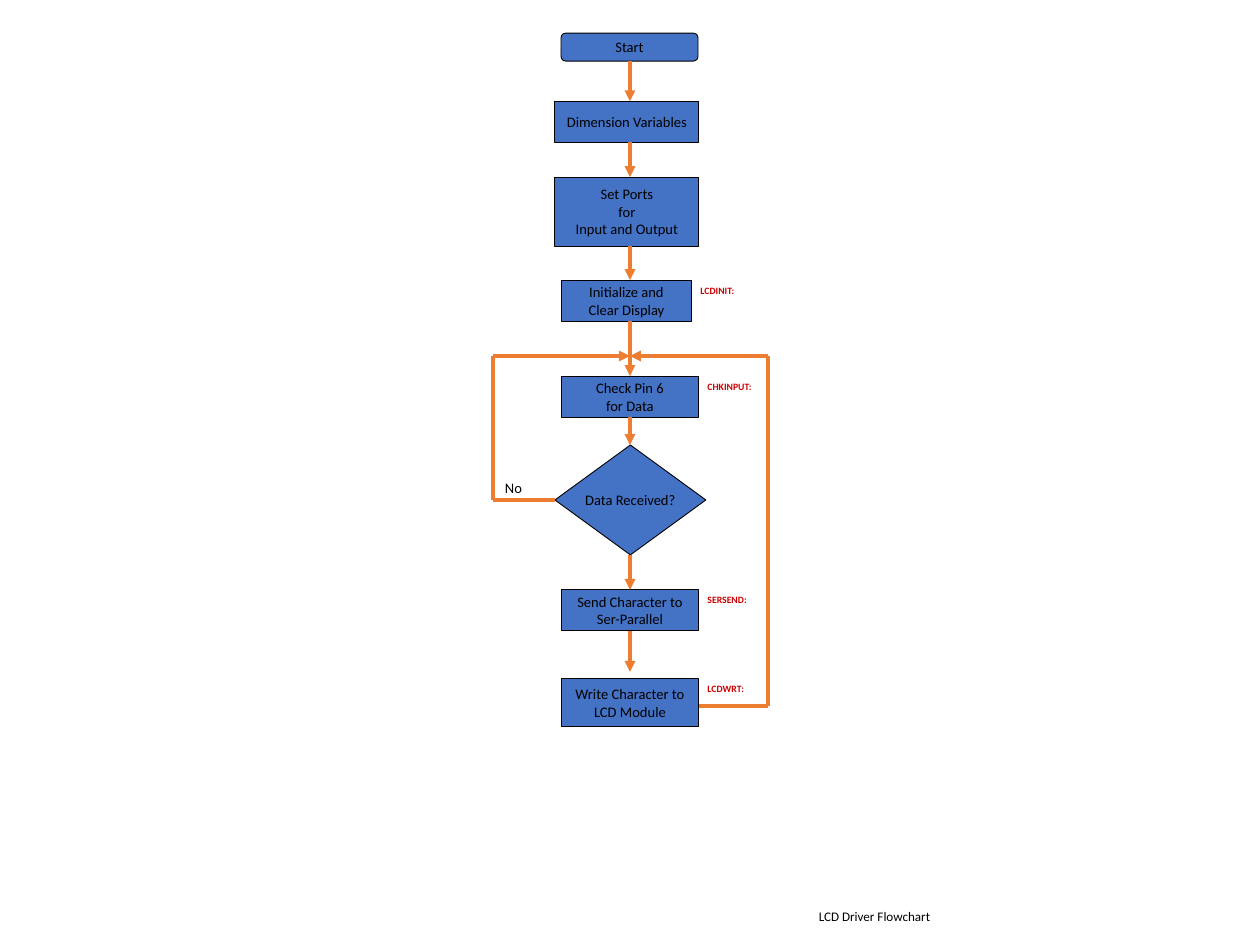
import pptx
import pptx.util
import pptx.dml.color
import pptx.enum.shapes
import pptx.enum.text
import pptx.oxml.ns
from lxml import etree

Inches = pptx.util.Inches
Pt = pptx.util.Pt
Shape = pptx.enum.shapes.MSO_SHAPE
Align = pptx.enum.text.PP_ALIGN
Anchor = pptx.enum.text.MSO_ANCHOR

FONT = "Calibri"
COLORS = {"box": "4472C4", "arrow": "ED7D31", "text": "000000", "label": "CC0000"}
CENTER, LOOP_TOP, LOOP_LEFT, LOOP_RIGHT = 7.22, 4.08, 5.65, 8.8

STEPS = [
    (Shape.ROUNDED_RECTANGLE, (6.43, 0.38, 1.57, 0.32), ["Start"], None),
    (Shape.RECTANGLE, (6.36, 1.16, 1.65, 0.47), ["Dimension Variables"], None),
    (Shape.RECTANGLE, (6.36, 2.03, 1.65, 0.79), ["Set Ports", "for", "Input and Output"], None),
    (Shape.RECTANGLE, (6.43, 3.21, 1.5, 0.47), ["Initialize and", "Clear Display"], "LCDINIT:"),
    (Shape.RECTANGLE, (6.43, 4.31, 1.58, 0.47), ["Check Pin 6", "for Data"], "CHKINPUT:"),
    (Shape.FLOWCHART_DECISION, (6.36, 5.1, 1.73, 1.26), ["Data Received?"], None),
    (Shape.RECTANGLE, (6.43, 6.76, 1.58, 0.47), ["Send Character to", "Ser-Parallel"], "SERSEND:"),
    (Shape.RECTANGLE, (6.43, 7.78, 1.58, 0.55), ["Write Character to", "LCD Module"], "LCDWRT:"),
]
LAST_ARROW_GAP = 0.08


def color(name):
    return pptx.dml.color.RGBColor.from_string(COLORS[name])


def write(shape, lines, size, align, ink="text", bold=False, wrap=True, anchor=Anchor.TOP):
    frame = shape.text_frame
    frame.word_wrap = wrap
    frame.vertical_anchor = anchor
    frame.text = "\n".join(lines)
    for para in frame.paragraphs:
        para.alignment = align
        para.font.name = FONT
        para.font.size = Pt(size)
        para.font.bold = bold
        para.font.color.rgb = color(ink)
    return frame


def add_step(page, kind, place, lines):
    box = page.shapes.add_shape(kind, *map(Inches, place))
    box.shadow.inherit = False
    box.fill.solid()
    box.fill.fore_color.rgb = color("box")
    box.line.color.rgb = color("text")
    box.line.width = Pt(0.75)
    write(box, lines, 12, Align.CENTER, wrap=False, anchor=Anchor.MIDDLE)


def add_text(page, place, *args, **options):
    box = page.shapes.add_textbox(*map(Inches, place))
    return write(box, *args, **options)


def add_path(page, points):
    for index, (start, end) in enumerate(zip(points, points[1:]), 2):
        line = page.shapes.add_connector(
            pptx.enum.shapes.MSO_CONNECTOR.STRAIGHT, *map(Inches, start + end))
        line.line.color.rgb = color("arrow")
        line.line.width = Pt(3)
        if index == len(points):
            outline = line.line._get_or_add_ln()
            etree.SubElement(outline, pptx.oxml.ns.qn("a:tailEnd"), type="triangle")
        etree.SubElement(line._element.spPr, pptx.oxml.ns.qn("a:effectLst"))


def main():
    deck = pptx.Presentation()
    deck.slide_width = Inches(14.44)
    deck.slide_height = Inches(10.83)
    page = deck.slides.add_slide(deck.slide_layouts[6])

    for kind, place, lines, label in STEPS:
        add_step(page, kind, place, lines)
        if label:
            left, top, width, height = place
            add_text(page, (left + width, top, 0.94, 0.23), [label], 8, Align.LEFT,
                     ink="label", bold=True)

    places = [place for kind, place, lines, label in STEPS]
    for upper, lower in zip(places, places[1:]):
        gap = LAST_ARROW_GAP if lower is places[-1] else 0
        add_path(page, [(CENTER, upper[1] + upper[3]), (CENTER, lower[1] - gap)])

    decision, final = places[5], places[-1]
    decision_middle = decision[1] + decision[3] / 2
    final_right, final_exit = final[0] + final[2], 8.09
    merge = (CENTER, LOOP_TOP)
    add_path(page, [(decision[0], decision_middle), (LOOP_LEFT, decision_middle),
                    (LOOP_LEFT, LOOP_TOP), merge])
    add_path(page, [(final_right, final_exit), (LOOP_RIGHT, final_exit),
                    (LOOP_RIGHT, LOOP_TOP), merge])

    add_text(page, (5.68, 5.44, 0.41, 0.3), ["No"], 12, Align.CENTER, wrap=False)
    title = add_text(page, (7.06, 10.38, 3.7, 0.27), ["LCD Driver Flowchart"], 10.8,
                     Align.RIGHT, anchor=Anchor.MIDDLE)
    title.paragraphs[0].line_spacing = 0.9

    deck.save("out.pptx")


if __name__ == "__main__":
    main()
